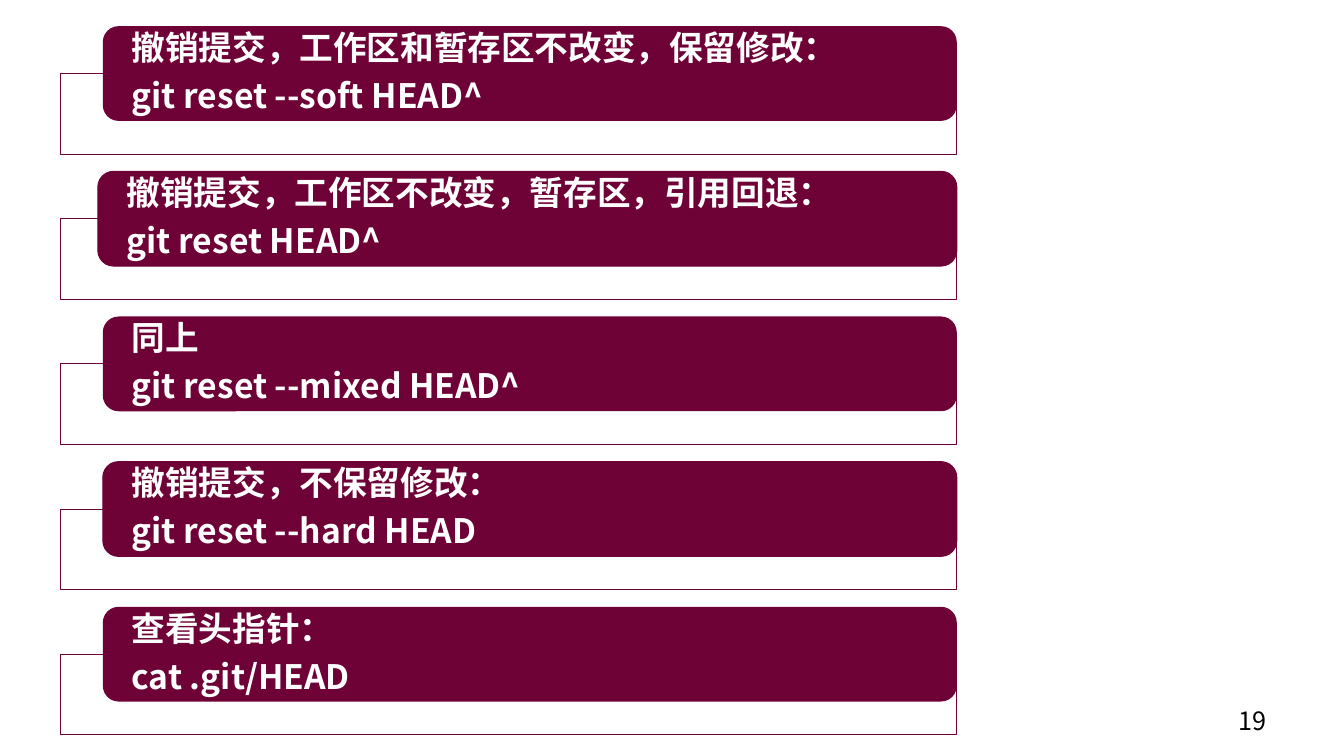
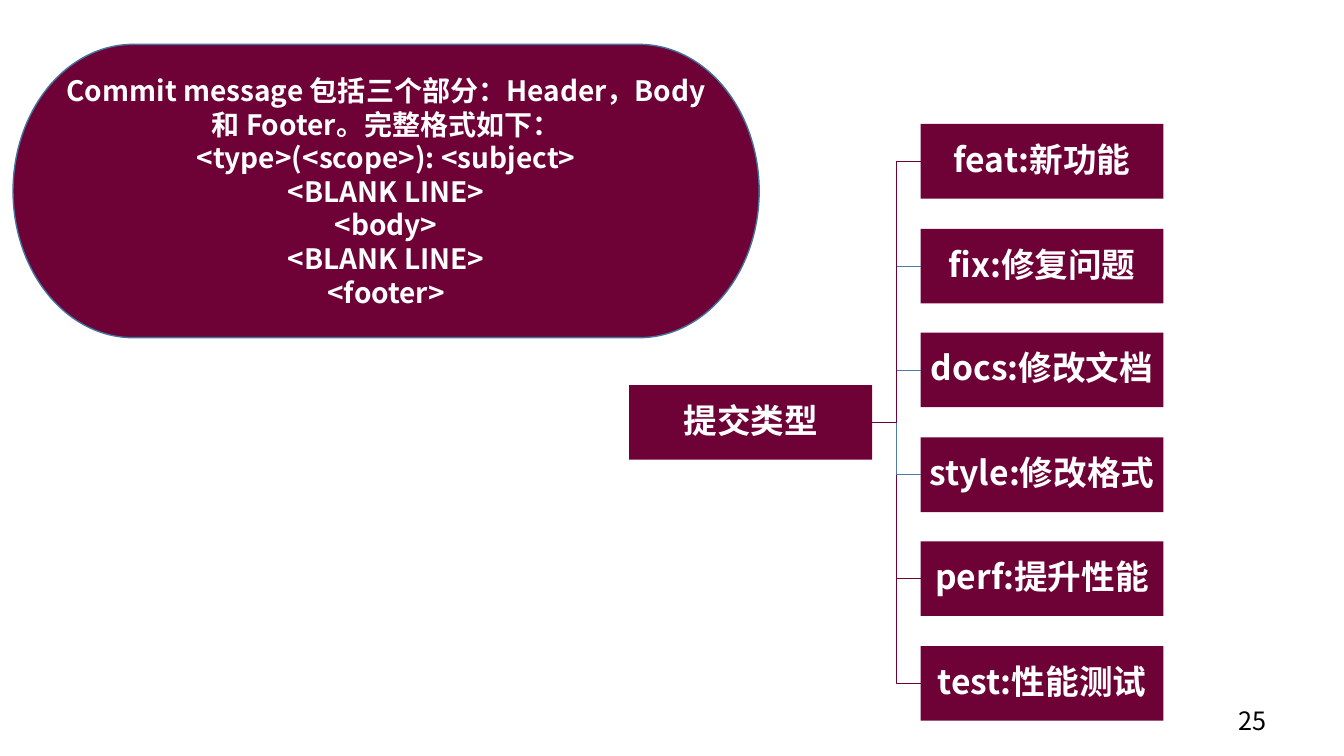
from lxml import etree
from pptx import Presentation
from pptx.dml.color import RGBColor
from pptx.enum.shapes import MSO_CONNECTOR, MSO_SHAPE
from pptx.enum.text import MSO_ANCHOR, PP_ALIGN
from pptx.oxml.ns import qn
from pptx.util import Pt

RECT = MSO_SHAPE.RECTANGLE
ROUND = MSO_SHAPE.ROUNDED_RECTANGLE
PILL = MSO_SHAPE.FLOWCHART_TERMINATOR
ELBOW = MSO_CONNECTOR.ELBOW
LEFT, CENTER = PP_ALIGN.LEFT, PP_ALIGN.CENTER
MIDDLE = MSO_ANCHOR.MIDDLE

SCALE = 9144  # EMU per px, 100 px to the inch
FONT = "Noto Sans CJK SC"
COLORS = {
    "plum": "6E0136",
    "white": "FFFFFF",
    "black": "000000",
    "steel": "43739E",
    "blue": "497CAB",
}

RESETS = [
    ("撤销提交，工作区和暂存区不改变，保留修改：", "git reset --soft HEAD^"),
    ("撤销提交，工作区不改变，暂存区，引用回退：", "git reset HEAD^"),
    ("同上", "git reset --mixed HEAD^"),
    ("撤销提交，不保留修改：", "git reset --hard HEAD"),
    ("查看头指针：", "cat .git/HEAD"),
]
FORMAT = [
    "Commit message 包括三个部分：Header，Body 和 Footer。完整格式如下：",
    "<type>(<scope>): <subject>",
    "<BLANK LINE>",
    "<body>",
    "<BLANK LINE>",
    "<footer>",
]
# Label and line colour of each commit type
TYPES = [
    ("feat:新功能", "plum"),
    ("fix:修复问题", "blue"),
    ("docs:修改文档", "blue"),
    ("style:修改格式", "blue"),
    ("perf:提升性能", "plum"),
    ("test:性能测试", "plum"),
]


def px(*sizes):
    return [size * SCALE for size in sizes]


def rgb(name):
    return RGBColor.from_string(COLORS[name])


def stroke(line, color, width):
    line.color.rgb = rgb(color)
    line.width = Pt(width)


def write(frame, lines, size=24, color="white", bold=True, align=LEFT, tight=True):
    """Fill a text frame with one paragraph a line."""
    frame.word_wrap = True
    for i, text in enumerate(lines):
        para = frame.add_paragraph() if i else frame.paragraphs[0]
        para.alignment = align
        if tight:
            para.line_spacing = 0.9
            after = etree.SubElement(para._p.get_or_add_pPr(), qn("a:spcAft"))
            etree.SubElement(after, qn("a:spcPct"), val="35000")
        run = para.add_run()
        run.text = text
        font = run.font
        font.name, font.size, font.bold = FONT, Pt(size), bold
        font.color.rgb = rgb(color)
        etree.SubElement(run._r.get_or_add_rPr(), qn("a:ea"), typeface=FONT)


def add_box(slide, kind, at, fill="plum", line=None, width=0.75):
    box = slide.shapes.add_shape(kind, *px(*at))
    box.shadow.inherit = False
    box.fill.solid()
    box.fill.fore_color.rgb = rgb(fill)
    if line:
        stroke(box.line, line, width)
    else:
        box.line.fill.background()
    box.text_frame.vertical_anchor = MIDDLE
    return box


def pad(frame, side, edge):
    frame.margin_left = frame.margin_right = side * SCALE
    frame.margin_top = frame.margin_bottom = edge * SCALE


def add_frame(slide, top):
    """Outlined panel with a slightly clear white fill."""
    box = add_box(slide, RECT, (60, top, 889, 80), "white", "plum", 0.5)
    tint = box.fill._xPr.find(".//" + qn("a:srgbClr"))
    etree.SubElement(tint, qn("a:alpha"), val="90000")


def add_card(slide, left, top, lines, line):
    card = add_box(slide, ROUND, (left, top, 949 - left, 94), line=line)
    pad(card.text_frame, 24, 0)
    write(card.text_frame, lines)


def add_node(slide, left, top, label):
    node = add_box(slide, RECT, (left, top, 241, 74))
    pad(node.text_frame, 2, 2)
    write(node.text_frame, [label], align=CENTER)
    return node


def add_link(slide, root, leaf, color):
    link = slide.shapes.add_connector(ELBOW, 0, 0, 0, 0)
    link.begin_connect(root, 3)
    link.end_connect(leaf, 1)
    stroke(link.line, color, 0.5)
    etree.SubElement(link._element.spPr, qn("a:effectLst"))


def add_slide(deck, page):
    """Blank slide with its page number."""
    slide = deck.slides.add_slide(deck.slide_layouts[6])
    box = slide.shapes.add_textbox(*px(1219, 695, 54, 40))
    write(box.text_frame, [str(page)], 18, "black", bold=False, tight=False)
    return slide


def draw_resets(deck):
    slide = add_slide(deck, 19)
    for i, lines in enumerate(RESETS):
        top = 26 + 144 * i
        add_frame(slide, top + 47)
        left = 97 if i == 1 else 102
        add_card(slide, left, top, lines, "plum" if i % 2 else None)


def draw_types(deck):
    slide = add_slide(deck, 25)

    # Message format
    pill = add_box(slide, PILL, (13, 44, 740, 291), line="steel", width=1)
    write(pill.text_frame, FORMAT, 20, align=CENTER, tight=False)

    # Tree of commit types
    first, last = 123, 641
    step = (last - first) / (len(TYPES) - 1)
    root = add_node(slide, 624, (first + last) // 2, "提交类型")
    leaves = []
    for i, (label, color) in enumerate(TYPES):
        leaf = add_node(slide, 913, round(first + step * i), label)
        leaves.append((leaf, color))
    for leaf, color in reversed(leaves):
        add_link(slide, root, leaf, color)


def main():
    deck = Presentation()
    deck.slide_width, deck.slide_height = px(1333, 750)
    draw_resets(deck)
    draw_types(deck)
    deck.save("out.pptx")


if __name__ == "__main__":
    main()
